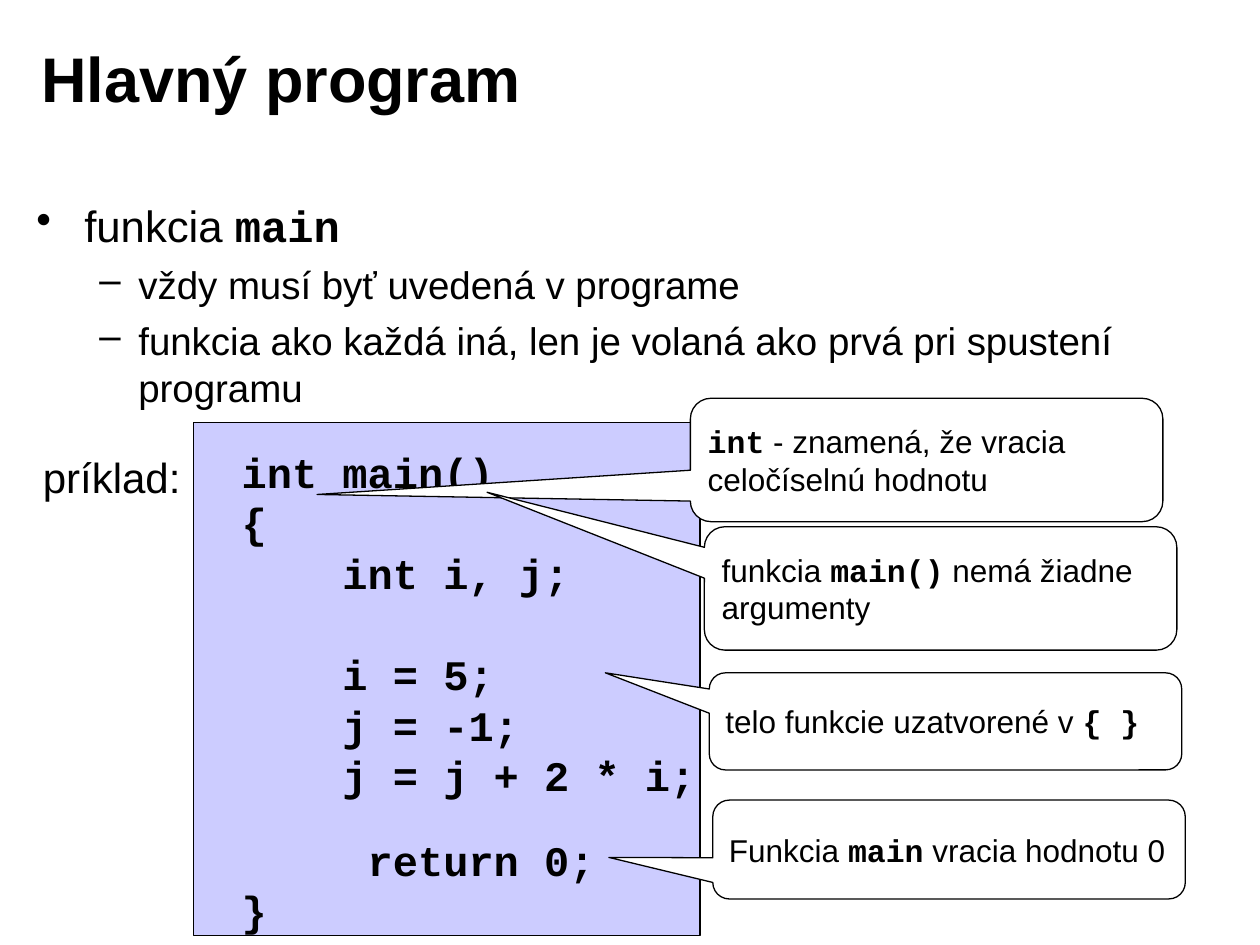
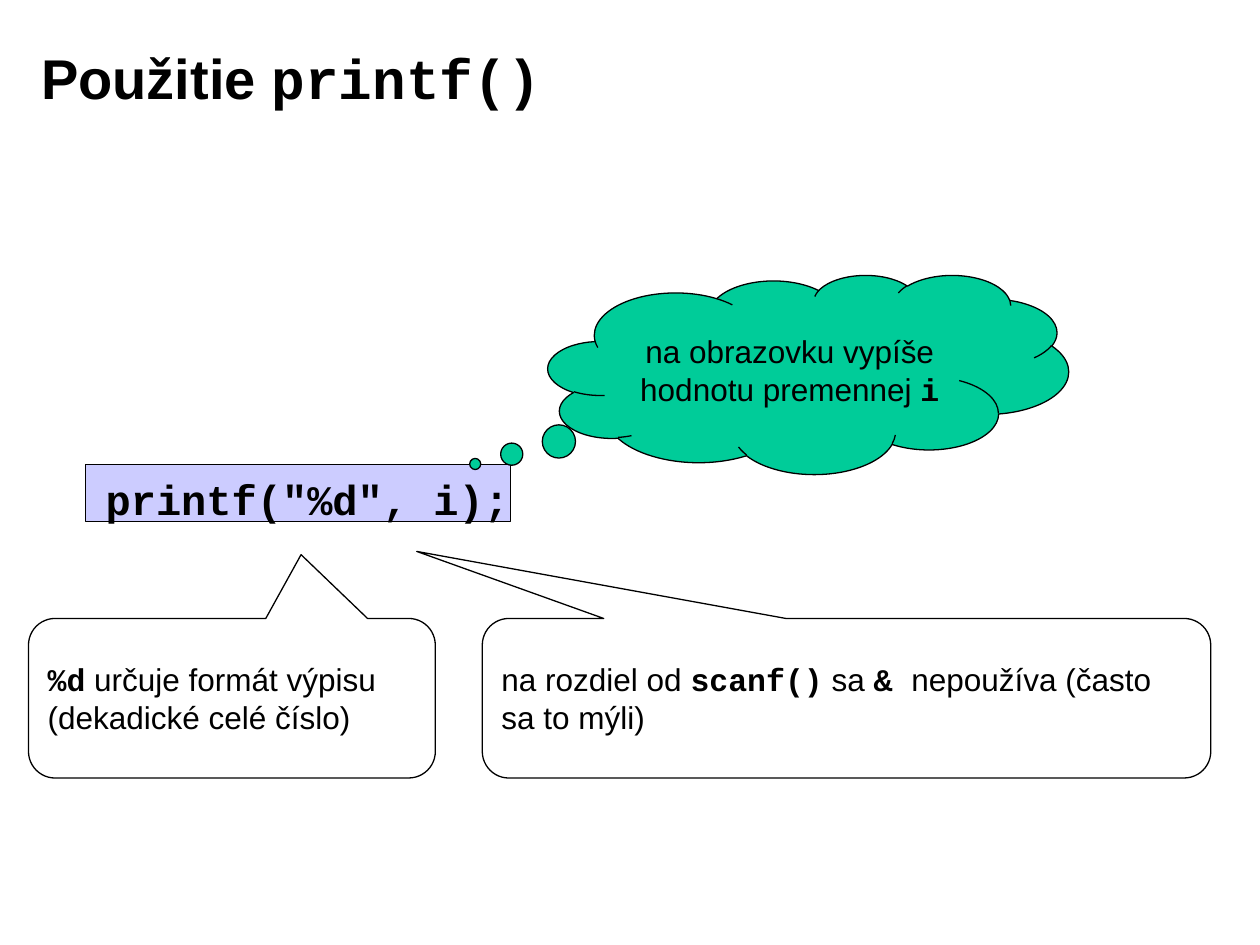
from lxml import etree
from pptx import Presentation
from pptx.dml.color import RGBColor
from pptx.enum.shapes import MSO_SHAPE
from pptx.enum.text import MSO_ANCHOR, PP_ALIGN
from pptx.oxml.ns import qn
from pptx.util import Pt

RECT = MSO_SHAPE.RECTANGLE
WEDGE = MSO_SHAPE.ROUNDED_RECTANGULAR_CALLOUT
CLOUD = MSO_SHAPE.CLOUD_CALLOUT
TOP, MIDDLE = MSO_ANCHOR.TOP, MSO_ANCHOR.MIDDLE
LEFT, CENTER = PP_ALIGN.LEFT, PP_ALIGN.CENTER

COLORS = {"ink": "000000", "paper": "FFFFFF", "code": "CCCCFF", "cloud": "00CC99"}
SANS, MONO = "Arial", "Courier New"
PITCH = 28.9  # line height of 24 pt code


def color(name):
    return RGBColor.from_string(COLORS[name])


def apply(target, values):
    for name, value in values.items():
        setattr(target, name, value)


def write(para, text, size, bold=False):
    """Add runs to a paragraph; parts between backticks are set as bold code."""
    for i, part in enumerate(text.split("`")):
        if not part:
            continue
        run = para.add_run()
        run.text = part
        code = i % 2 == 1
        apply(run.font, {"size": Pt(size), "bold": bold or code,
                         "name": MONO if code else SANS})
        run.font.color.rgb = color("ink")


def frame(shape, anchor=TOP, side=7.2):
    apply(shape.text_frame, {
        "word_wrap": True, "vertical_anchor": anchor,
        "margin_left": Pt(side), "margin_right": Pt(side),
        "margin_top": Pt(3.6), "margin_bottom": Pt(3.6)})
    return shape.text_frame


def add_box(slide, box, anchor=TOP, side=7.2):
    return frame(slide.shapes.add_textbox(*map(Pt, box)), anchor, side)


def add_title(slide, text, size):
    write(add_box(slide, (16.5, 10.8, 578, 67), MIDDLE).paragraphs[0], text, size, True)


def add_bullets(slide, box, items):
    """Add (level, text) items as a two-level list."""
    styles = [{"size": 25, "mark": "•", "left": 27.4, "hang": 27.4},
              {"size": 22, "mark": "–", "left": 58.3, "hang": 22.3}]
    body = add_box(slide, box)
    for i, (level, text) in enumerate(items):
        style = styles[level]
        para = body.add_paragraph() if i else body.paragraphs[0]
        props = para._p.get_or_add_pPr()
        props.set("marL", str(Pt(style["left"])))
        props.set("indent", str(-Pt(style["hang"])))
        etree.SubElement(props, qn("a:buChar")).set("char", style["mark"])
        if i:
            apply(para, {"space_before": Pt(5.5), "line_spacing": Pt(26.5)})
        write(para, text, style["size"])


def add_shape(slide, kind, box, fill):
    shape = slide.shapes.add_shape(kind, *map(Pt, box))
    shape.shadow.inherit = False
    shape.fill.solid()
    shape.fill.fore_color.rgb = color(fill)
    shape.line.color.rgb = color("ink")
    shape.line.width = Pt(0.75)
    return shape


def add_code(slide, box, lines):
    """Add code from (text, gap above) lines."""
    body = add_box(slide, box)
    for i, (text, gap) in enumerate(lines):
        para = body.add_paragraph() if i else body.paragraphs[0]
        para.line_spacing = Pt(PITCH)
        if gap:
            para.space_before = Pt(gap)
        write(para, f"`{text}`", 24)


def add_callout(slide, box, tip, text, kind=WEDGE, fill="paper", align=LEFT):
    """Add a callout whose tip is offset from its centre, as shares of its size."""
    shape = add_shape(slide, kind, box, fill)
    for i, value in enumerate(tip):
        shape.adjustments[i] = value
    para = frame(shape, MIDDLE, 6.5).paragraphs[0]
    para.alignment = align
    write(para, text, 18)


def build_main(slide):
    add_title(slide, "Hlavný program", 36)
    add_bullets(slide, (13.7, 110.3, 692, 133), [
        (0, "funkcia `main`"),
        (1, "vždy musí byť uvedená v programe"),
        (1, "funkcia ako každá iná, len je volaná ako prvá pri spustení programu")])
    add_shape(slide, RECT, (110.6, 241.6, 289.4, 293), "code")
    add_code(slide, (131, 251.3, 290, 286), [
        ("int main()", 0),
        ("{", 0),
        ("    int i, j;", 0),
        ("    i = 5;", PITCH),
        ("    j = -1;", 0),
        ("    j = j + 2 * i;", 0),
        ("     return 0;", 19.3),
        ("}", 0)])
    label = add_box(slide, (17.3, 254.2, 93, 36)).paragraphs[0]
    label.alignment = CENTER
    write(label, "príklad:", 24)
    for left, top, height, tip, text in [
            (394.5, 227.6, 70.5, (-1.29, 0.28), "`int` - znamená, že vracia celočíselnú hodnotu"),
            (402.5, 301, 70.5, (-0.96, -0.78), "funkcia `main()` nemá žiadne argumenty"),
            (405.3, 384.5, 55.5, (-0.72, -0.5), "telo funkcie uzatvorené v `{ }`"),
            (407.3, 457.2, 56.5, (-0.72, 0.08), "Funkcia `main` vracia hodnotu 0")]:
        add_callout(slide, (left, top, 270, height), tip, text)


def build_print(slide):
    add_title(slide, "Použitie `printf()`", 32)
    add_shape(slide, RECT, (48.7, 265.6, 243.2, 32.4), "code")
    add_code(slide, (53.3, 267, 257, 35), [('printf("%d", i);', 0)])
    add_callout(slide, (313.2, 157, 297.4, 113.8), (-0.64, 0.45),
                "na obrazovku vypíše hodnotu premennej `i`", CLOUD, "cloud", CENTER)
    for left, width, tip, text in [
            (16.3, 232.5, (0.17, -0.9), "`%d` určuje formát výpisu (dekadické celé číslo)"),
            (275.6, 416.3, (-0.59, -0.92),
             "na rozdiel od `scanf()` sa `& `nepoužíva (často sa to mýli)")]:
        add_callout(slide, (left, 353.4, width, 91.2), tip, text)


def main():
    deck = Presentation()
    apply(deck, {"slide_width": Pt(720), "slide_height": Pt(540)})
    for build in (build_main, build_print):
        build(deck.slides.add_slide(deck.slide_layouts[6]))
    deck.save("out.pptx")


if __name__ == "__main__":
    main()
